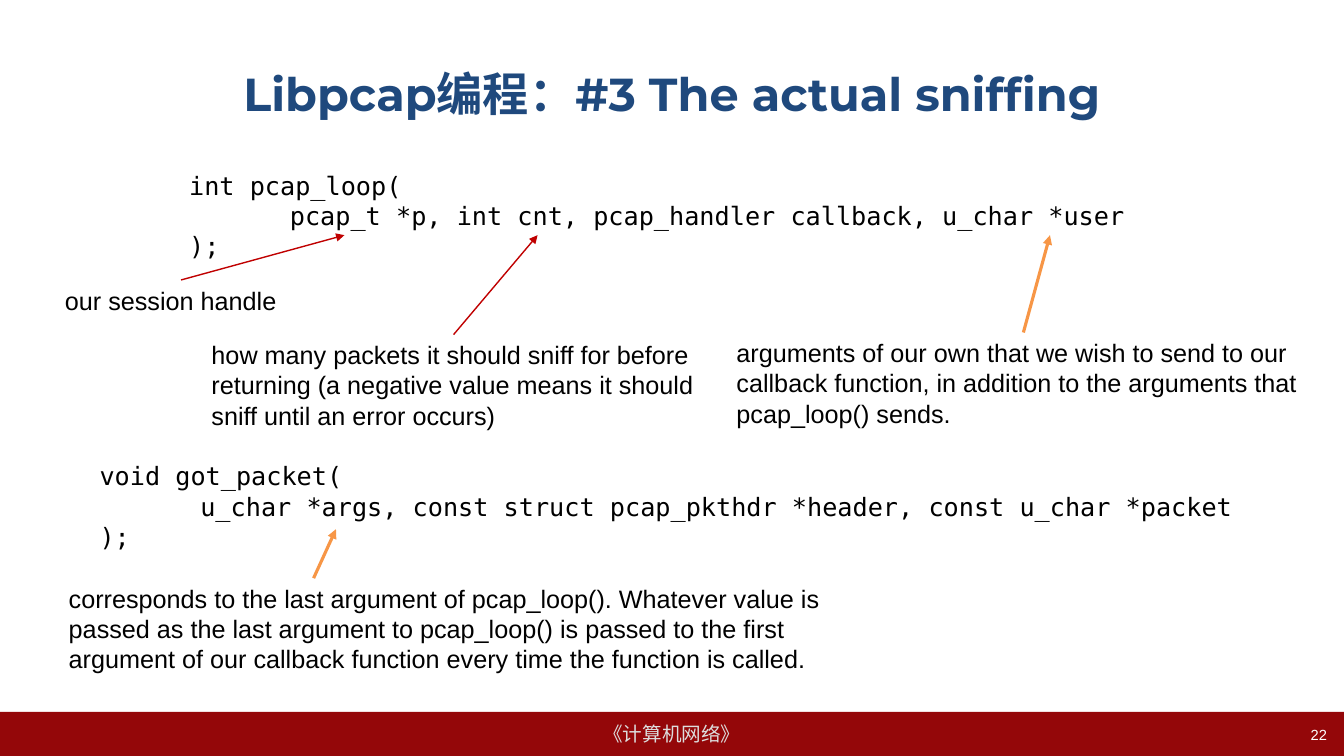
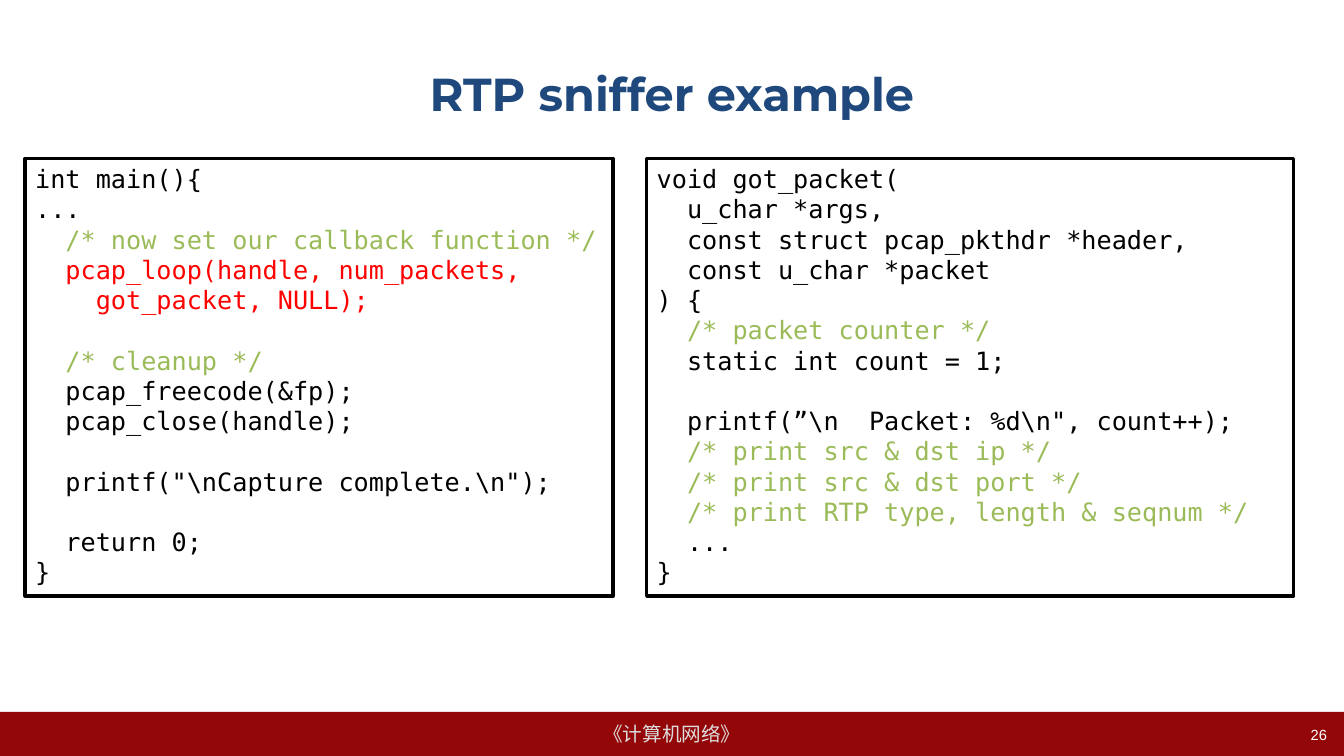
from dataclasses import dataclass

from lxml import etree
from pptx import Presentation
from pptx.dml.color import RGBColor
from pptx.enum import shapes, text
from pptx.oxml import ns
from pptx.util import Pt


@dataclass(frozen=True)
class Theme:
    title: str = "1F497D"
    ink: str = "000000"
    band: str = "940709"
    band_text: str = "DDDDDD"
    page_text: str = "FFFFFF"
    comment: str = "9BBB59"
    highlight: str = "FF0000"
    input_arrow: str = "C00000"
    user_arrow: str = "F79646"
    title_font: str = "Montserrat"
    body_font: str = "Arial"
    code_font: str = "DejaVu Sans Mono"
    title_size: float = 33
    body_size: float = 18
    band_size: float = 14
    page_size: float = 10.5


THEME = Theme()
WIDTH, HEIGHT = 960, 540
BAND_TOP = 508.5
TAB_STOP = 72
LEFT, CENTER, RIGHT = text.PP_ALIGN.LEFT, text.PP_ALIGN.CENTER, text.PP_ALIGN.RIGHT

LOOP_SIGNATURE = """int pcap_loop(
\tpcap_t *p, int cnt, pcap_handler callback, u_char *user
);"""
CALLBACK_SIGNATURE = """void got_packet(
\tu_char *args, const struct pcap_pkthdr *header, const u_char *packet
);"""
MAIN_CODE = r"""int main(){
...
  /* now set our callback function */
  pcap_loop(handle, num_packets,
    got_packet, NULL);

  /* cleanup */
  pcap_freecode(&fp);
  pcap_close(handle);

  printf("\nCapture complete.\n");

  return 0;
}"""
CALLBACK_CODE = r"""void got_packet(
  u_char *args,
  const struct pcap_pkthdr *header,
  const u_char *packet
) {
  /* packet counter */
  static int count = 1;

  printf(”\n  Packet: %d\n", count++);
  /* print src & dst ip */
  /* print src & dst port */
  /* print RTP type, length & seqnum */
  ...
}"""


def rgb(value):
    return RGBColor.from_string(value)


def points(*values):
    return [Pt(value) for value in values]


def style(paragraph, size, font, colour, bold=False, align=LEFT):
    paragraph.alignment = align
    for run in paragraph.runs:
        run.font.size = Pt(size)
        run.font.name = font
        run.font.bold = bold
        run.font.color.rgb = rgb(colour)


def add_band(slide, layout):
    """Draw the footer band and hand it to the layout that all slides share."""
    band = slide.shapes.add_shape(shapes.MSO_SHAPE.RECTANGLE,
                                  *points(0, BAND_TOP, WIDTH, HEIGHT - BAND_TOP))
    band.shadow.inherit = False
    band.fill.solid()
    band.fill.fore_color.rgb = rgb(THEME.band)
    band.line.fill.background()
    frame = band.text_frame
    frame.word_wrap = False
    frame.vertical_anchor = text.MSO_ANCHOR.MIDDLE
    frame.text = "《计算机网络》"
    style(frame.paragraphs[0], THEME.band_size, THEME.body_font, THEME.band_text, align=CENTER)
    layout.shapes.element.append(band.element)


def add_titled_slide(deck, layout, heading, number):
    slide = deck.slides.add_slide(layout)
    title = slide.shapes.title
    title.left, title.top, title.width, title.height = points(48, 21.6, 864, 90)
    title.text_frame.text = heading
    title.text_frame.vertical_anchor = text.MSO_ANCHOR.MIDDLE
    style(title.text_frame.paragraphs[0], THEME.title_size, THEME.title_font,
          THEME.title, bold=True, align=CENTER)
    page = slide.shapes.add_textbox(*points(731, 515, 224, 25))
    page.text_frame.text = str(number)
    style(page.text_frame.paragraphs[0], THEME.page_size, THEME.body_font,
          THEME.page_text, align=RIGHT)
    return slide


def add_text(slide, box, content):
    block = slide.shapes.add_textbox(*points(*box))
    block.text_frame.word_wrap = True
    block.text_frame.auto_size = text.MSO_AUTO_SIZE.SHAPE_TO_FIT_TEXT
    block.text_frame.text = content
    return block


def add_note(slide, box, content):
    note = add_text(slide, box, content)
    style(note.text_frame.paragraphs[0], THEME.body_size, THEME.body_font, THEME.ink)
    return note


def set_tab_stop(paragraph):
    properties = paragraph._p.get_or_add_pPr()
    tabs = etree.SubElement(properties, ns.qn("a:tabLst"))
    etree.SubElement(tabs, ns.qn("a:tab"), pos=str(Pt(TAB_STOP)), algn="l")


def size_blank_line(paragraph):
    """Give an empty code line the height of the others."""
    end = etree.SubElement(paragraph._p, ns.qn("a:endParaRPr"),
                           sz=str(int(THEME.body_size * 100)))
    etree.SubElement(end, ns.qn("a:latin"), typeface=THEME.code_font)


def add_code(slide, box, source, highlighted=()):
    """Place code; lines that start with a highlighted prefix stand out."""
    code = add_text(slide, box, source)
    for line in code.text_frame.paragraphs:
        statement = line.text.strip()
        colour = THEME.ink
        if statement.startswith("/*"):
            colour = THEME.comment
        elif statement.startswith(tuple(highlighted)):
            colour = THEME.highlight
        if line.text.startswith("\t"):
            set_tab_stop(line)
        style(line, THEME.body_size, THEME.code_font, colour)
        if not statement:
            size_blank_line(line)
    return code


def add_code_panel(slide, box, source, highlighted=()):
    panel = add_code(slide, box, source, highlighted)
    panel.line.color.rgb = rgb(THEME.ink)
    panel.line.width = Pt(2.5)


def add_arrow(slide, start, end, colour, width, note=None):
    """Draw an arrow, joined to the top of the note when one is given."""
    arrow = slide.shapes.add_connector(shapes.MSO_CONNECTOR.STRAIGHT, *points(*start, *end))
    if note is not None:
        arrow.begin_connect(note, 0)
    arrow.line.color.rgb = rgb(colour)
    arrow.line.width = Pt(width)
    etree.SubElement(arrow.line._get_or_add_ln(), ns.qn("a:tailEnd"), type="triangle")
    etree.SubElement(arrow.element.spPr, ns.qn("a:effectLst"))


def add_parameter_note(slide, box, content, target, colour, width):
    left, top, box_width, _ = box
    note = add_note(slide, box, content)
    add_arrow(slide, (left + box_width / 2, top), target, colour, width, note)


def fill_signatures(slide):
    target_y = 168
    add_code(slide, (128, 118, 704, 72.7), LOOP_SIGNATURE)
    parameters = (
        ((144, 239, 360, 72.7),
         "how many packets it should sniff for before returning "
         "(a negative value means it should sniff until an error occurs)",
         384, THEME.input_arrow, 1),
        ((519, 237.5, 424, 72.7),
         "arguments of our own that we wish to send to our callback function, "
         "in addition to the arguments that pcap_loop() sends.",
         750, THEME.user_arrow, 2.25),
        ((39.3, 200, 180, 29), "our session handle", 246, THEME.input_arrow, 1),
    )
    for box, content, target_x, colour, width in parameters:
        add_parameter_note(slide, box, content, (target_x, target_y), colour, width)

    add_code(slide, (64, 325.5, 832, 72.7), CALLBACK_SIGNATURE)
    add_note(slide, (42, 413, 594, 72.7),
             "corresponds to the last argument of pcap_loop(). Whatever value is passed as "
             "the last argument to pcap_loop() is passed to the first argument of our "
             "callback function every time the function is called.")
    add_arrow(slide, (224, 413), (240, 378), THEME.user_arrow, 2.25)


def fill_example(slide):
    top, height = 113.3, 312.5
    add_code_panel(slide, (18, top, 420, height), MAIN_CODE,
                   highlighted=("pcap_loop(", "got_packet,"))
    add_code_panel(slide, (462, top, 462, height), CALLBACK_CODE, highlighted=("\0",))


def main():
    deck = Presentation()
    deck.slide_width, deck.slide_height = points(WIDTH, HEIGHT)
    layout = deck.slide_layouts.get_by_name("Title Only")
    signatures = add_titled_slide(deck, layout, "Libpcap编程：#3 The actual sniffing", 22)
    add_band(signatures, layout)
    fill_signatures(signatures)
    example = add_titled_slide(deck, layout, "RTP sniffer example", 26)
    fill_example(example)
    deck.save("out.pptx")


if __name__ == "__main__":
    main()
